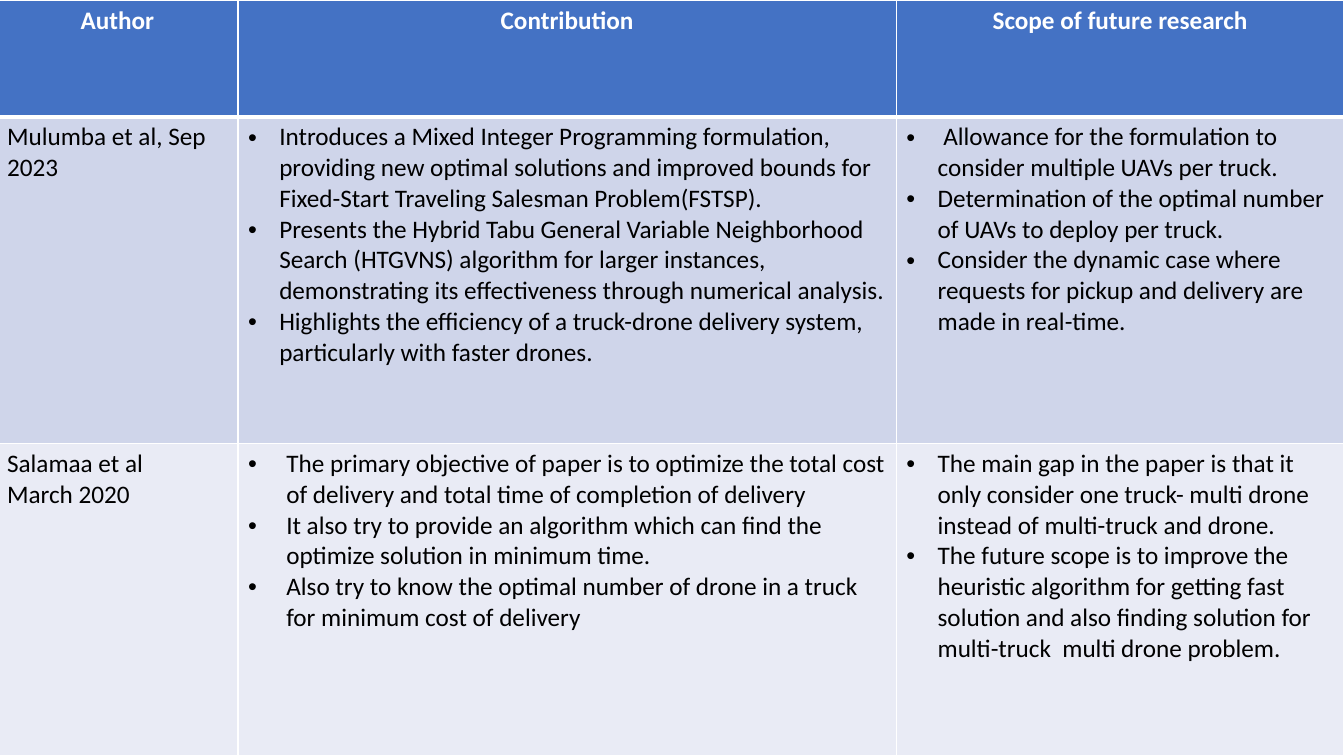
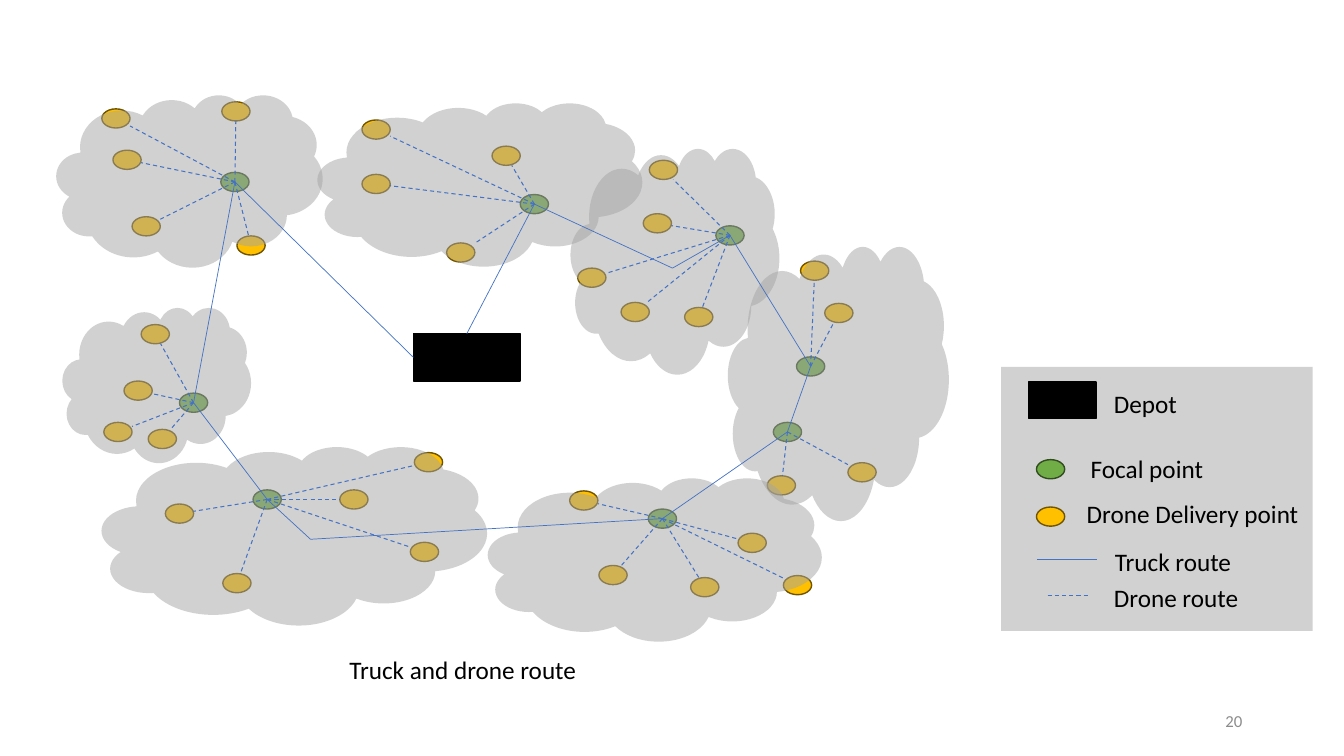
from typing import NamedTuple

from lxml import etree
from pptx import Presentation
from pptx.dml.color import RGBColor
from pptx.enum.dml import MSO_LINE
from pptx.enum.shapes import MSO_CONNECTOR, MSO_SHAPE
from pptx.enum.text import MSO_ANCHOR, PP_ALIGN
from pptx.oxml.ns import qn
from pptx.util import Inches, Pt

FONT = "Calibri"
WHITE, BLACK, BLUE = "FFFFFF", "000000", "4472C4"
GREY, MUTED = "A5A5A5", "8C8C8C"
BANDS = ["CFD5EA", "E9EBF5"]
FOCAL, DELIVERY = ("70AD47", "314C1F"), ("FFC000", "705400")
DOT_W, DOT_H = 0.28, 0.19
TOP, LEFT = 0, 1

HEADERS = ["Author", "Contribution", "Scope of future research"]
COL_WIDTHS = [2.39, 6.53, 4.44]
ROW_HEIGHTS = [1.16, 3.24, 3.1]


class Paper(NamedTuple):
    """One row of the table of papers."""

    author: list
    contribution: list
    scope: list
    indents: tuple


PAPERS = [
    Paper(
        author=["Mulumba et al, Sep 2023"],
        contribution=[
            "Introduces a Mixed Integer Programming formulation, providing new optimal "
            "solutions and improved bounds for Fixed-Start Traveling Salesman Problem(FSTSP).",
            "Presents the Hybrid Tabu General Variable Neighborhood Search (HTGVNS) algorithm "
            "for larger instances, demonstrating its effectiveness through numerical analysis.",
            "Highlights the efficiency of a truck-drone delivery system, particularly with "
            "faster drones.",
        ],
        scope=[
            " Allowance for the formulation to consider multiple UAVs per truck.",
            "Determination of the optimal number of UAVs to deploy per truck.",
            "Consider the dynamic case where requests for pickup and delivery are made in "
            "real-time.",
        ],
        indents=(0, 0.31, 0.31),
    ),
    Paper(
        author=["Salamaa et al", "March 2020"],
        contribution=[
            "The primary objective of paper is to optimize the total cost of delivery and "
            "total time of completion of delivery",
            "It also try to provide an algorithm which can find the optimize solution in "
            "minimum time.",
            "Also try to know the optimal number of drone in a truck for minimum cost of "
            "delivery",
        ],
        scope=[
            "The main gap in the paper is that it only consider one truck- multi drone "
            "instead of multi-truck and drone.",
            "The future scope is to improve the heuristic algorithm for getting fast solution "
            "and also finding solution for multi-truck  multi drone problem.",
        ],
        indents=(0, 0.38, 0.31),
    ),
]


class Stop(NamedTuple):
    """A focal point and the delivery points its drones serve."""

    focal: tuple
    deliveries: list


STOPS = {
    "north": Stop((5.16, 1.93), [(3.59, 1.19), (4.88, 1.45), (3.59, 1.73), (4.43, 2.41)]),
    "northeast": Stop((7.1, 2.24), [
        (6.44, 1.59), (6.79, 3.05), (6.16, 3), (6.38, 2.12), (5.73, 2.66)]),
    "upper east": Stop((7.9, 3.54), [(8.18, 3.01), (7.94, 2.59)]),
    "lower east": Stop((7.67, 4.19), [(7.61, 4.72), (8.41, 4.59)]),
    "south": Stop((6.43, 5.05), [
        (7.77, 5.71), (6.85, 5.73), (7.32, 5.29), (5.94, 5.61), (5.65, 4.87)]),
    "southwest": Stop((2.51, 4.86), [
        (3.37, 4.86), (2.21, 5.69), (4.07, 5.38), (4.11, 4.49), (1.64, 5)]),
    "west": Stop((1.78, 3.9), [(1.4, 3.22), (1.23, 3.78), (1.03, 4.19), (1.47, 4.26)]),
    "northwest": Stop((2.19, 1.71), [
        (1.01, 1.08), (2.2, 1.01), (1.31, 2.15), (1.12, 1.49), (2.35, 2.34)]),
}
BEND_AFTER = {"north": (6.67, 2.66), "south": (3.08, 5.35)}
CLOUDS = {
    "northwest": (0.56, 0.94, 2.64, 1.71),
    "north": (3.15, 1.02, 3.22, 1.62),
    "northeast": (5.66, 1.47, 2.07, 2.24),
    "southwest": (1.01, 4.43, 3.82, 1.77),
    "east": (7.22, 2.44, 2.19, 2.72),
    "south": (4.84, 4.74, 3.31, 1.62),
    "west": (0.62, 3.05, 1.87, 1.54),
}
DEPOT = (4.1, 3.31, 1.06, 0.47)

LEGEND = (9.93, 3.64, 3.09, 2.62)
LEGEND_LABELS = [
    ("Depot", 10.95, 3.8),
    ("Focal point", 10.72, 4.45),
    ("Drone Delivery point", 10.68, 4.89),
    ("Truck route", 10.96, 5.37),
    ("Drone route", 10.95, 5.73),
]


def rgb(color):
    """Turn a hex string into a colour."""
    return RGBColor.from_string(color)


def center(dot):
    """Return the middle of a dot given by its top left corner."""
    x, y = dot
    return x + DOT_W / 2, y + DOT_H / 2


def edge_toward(dot, target):
    """Return where the line from a dot's middle to a target leaves the dot's frame."""
    x, y = center(dot)
    dx, dy = target[0] - x, target[1] - y
    share = 1 / max(abs(dx) / (DOT_W / 2), abs(dy) / (DOT_H / 2))
    return x + dx * share, y + dy * share


def truck_tour():
    """List the points the truck passes, from the depot's top back to its left side."""
    x, y, w, h = DEPOT
    tour = [(x + w / 2, y)]
    for name, stop in STOPS.items():
        tour.append(center(stop.focal))
        if name in BEND_AFTER:
            tour.append(BEND_AFTER[name])
    return tour + [(x, y + h / 2)]


def write(p, text, size=18, color=BLACK, bold=False, align=PP_ALIGN.LEFT, bullet=0):
    """Write formatted text into a paragraph, hanging a bullet if an indent is given."""
    p.alignment = align
    if bullet:
        pPr = p._p.get_or_add_pPr()
        pPr.set("marL", str(Inches(bullet)))
        pPr.set("indent", str(-Inches(bullet)))
        etree.SubElement(pPr, qn("a:buFont"), typeface="Arial")
        etree.SubElement(pPr, qn("a:buChar"), char="•")
    r = p.add_run()
    r.text = text
    r.font.name, r.font.size, r.font.bold = FONT, Pt(size), bold
    r.font.color.rgb = rgb(color)


class Deck:
    """Hold the presentation, its style and the current slide."""

    def __init__(self):
        """Start a widescreen presentation."""
        self.prs = Presentation()
        self.prs.slide_width, self.prs.slide_height = Inches(13.33), Inches(7.5)

    def slide(self):
        """Add a blank slide and make it current."""
        self.s = self.prs.slides.add_slide(self.prs.slide_layouts[6])

    def shape(self, kind, x, y, w, h, fill, line=None, alpha=None):
        """Add a filled preset shape."""
        sp = self.s.shapes.add_shape(kind, Inches(x), Inches(y), Inches(w), Inches(h))
        sp.shadow.inherit = False
        sp.fill.solid()
        sp.fill.fore_color.rgb = rgb(fill)
        if alpha:
            clr = sp.fill._xPr.find(qn("a:solidFill"))[0]
            etree.SubElement(clr, qn("a:alpha"), val=str(alpha * 1000))
        if line:
            sp.line.color.rgb = rgb(line)
            sp.line.width = Pt(1)
        else:
            sp.line.fill.background()
        return sp

    def dot(self, corner, colors):
        """Add a focal or delivery point."""
        self.shape(MSO_SHAPE.OVAL, *corner, DOT_W, DOT_H, *colors)

    def depot(self, x, y, w, h):
        """Add a depot block."""
        return self.shape(MSO_SHAPE.RECTANGLE, x, y, w, h, BLACK, BLACK)

    def area(self, kind, x, y, w, h):
        """Add a half transparent grey area."""
        self.shape(kind, x, y, w, h, GREY, alpha=50)

    def route(self, start, end, drone=False):
        """Add a solid truck route or a dashed drone route."""
        cn = self.s.shapes.add_connector(
            MSO_CONNECTOR.STRAIGHT, *[Inches(v) for v in (*start, *end)])
        cn.line.color.rgb = rgb(BLUE)
        cn.line.width = Pt(0.75 if drone else 0.5)
        if drone:
            cn.line.dash_style = MSO_LINE.DASH
        etree.SubElement(cn._element.spPr, qn("a:effectLst"))
        return cn

    def text(self, text, x, y, w, h=0.4, anchor=MSO_ANCHOR.TOP, **fmt):
        """Add a wrapped text box."""
        tf = self.s.shapes.add_textbox(Inches(x), Inches(y), Inches(w), Inches(h)).text_frame
        tf.word_wrap = True
        tf.vertical_anchor = anchor
        write(tf.paragraphs[0], text, **fmt)

    def cell(self, cell, lines, fill, bottom=1, **fmt):
        """Fill a table cell and draw its white borders."""
        tcPr = cell._tc.get_or_add_tcPr()
        for side, width in zip("LRTB", (1, 1, 1, bottom)):
            ln = etree.SubElement(tcPr, qn(f"a:ln{side}"), w=str(Pt(width)))
            solid = etree.SubElement(ln, qn("a:solidFill"))
            etree.SubElement(solid, qn("a:srgbClr"), val=WHITE)
        cell.fill.solid()
        cell.fill.fore_color.rgb = rgb(fill)
        tf = cell.text_frame
        for i, line in enumerate(lines):
            write(tf.add_paragraph() if i else tf.paragraphs[0], line, **fmt)

    def table(self, x, y, cols, rows):
        """Add an empty table with the given column widths and row heights."""
        table = self.s.shapes.add_table(
            len(rows), len(cols), Inches(x), Inches(y),
            Inches(sum(cols)), Inches(sum(rows))).table
        table.horz_banding = False
        for col, w in zip(table.columns, cols):
            col.width = Inches(w)
        for row, h in zip(table.rows, rows):
            row.height = Inches(h)
        return table


def literature_slide(deck):
    """Build the table of papers."""
    deck.slide()
    table = deck.table(-0.03, 0, COL_WIDTHS, ROW_HEIGHTS)
    for c, header in enumerate(HEADERS):
        deck.cell(table.cell(0, c), [header], BLUE, bottom=3,
                  color=WHITE, bold=True, align=PP_ALIGN.CENTER)
    for r, (paper, band) in enumerate(zip(PAPERS, BANDS), 1):
        columns = (paper.author, paper.contribution, paper.scope)
        for c, (lines, indent) in enumerate(zip(columns, paper.indents)):
            deck.cell(table.cell(r, c), lines, band, bullet=indent)


def legend(deck):
    """Build the key to the route map."""
    deck.area(MSO_SHAPE.RECTANGLE, *LEGEND)
    deck.depot(10.2, 3.79, 0.67, 0.36)
    deck.dot((10.28, 4.56), FOCAL)
    deck.dot((10.28, 5.03), DELIVERY)
    deck.route((10.29, 5.55), (10.88, 5.55))
    deck.route((10.39, 5.91), (10.81, 5.91), drone=True)
    right = LEGEND[0] + LEGEND[2]
    for label, x, y in LEGEND_LABELS:
        deck.text(label, x, y, right - x)


def route_slide(deck):
    """Build the map of truck and drone routes."""
    deck.slide()
    depot = deck.depot(*DEPOT)
    for stop in STOPS.values():
        deck.dot(stop.focal, FOCAL)
        for delivery in stop.deliveries:
            deck.dot(delivery, DELIVERY)
    for cloud in CLOUDS.values():
        deck.area(MSO_SHAPE.CLOUD, *cloud)
    tour = truck_tour()
    legs = [deck.route(start, end) for start, end in zip(tour, tour[1:])]
    legs[0].begin_connect(depot, TOP)
    legs[-1].end_connect(depot, LEFT)
    for stop in STOPS.values():
        hub = center(stop.focal)
        for delivery in stop.deliveries:
            deck.route(hub, edge_toward(delivery, hub), drone=True)
    legend(deck)
    deck.text("Truck and drone route", 0.77, 6.44, 7.64, align=PP_ALIGN.CENTER)
    deck.text("20", 9.42, 6.95, 3, anchor=MSO_ANCHOR.MIDDLE,
              size=12, color=MUTED, align=PP_ALIGN.RIGHT)


def main():
    """Build and save the deck."""
    deck = Deck()
    literature_slide(deck)
    route_slide(deck)
    deck.prs.save("out.pptx")


if __name__ == "__main__":
    main()
